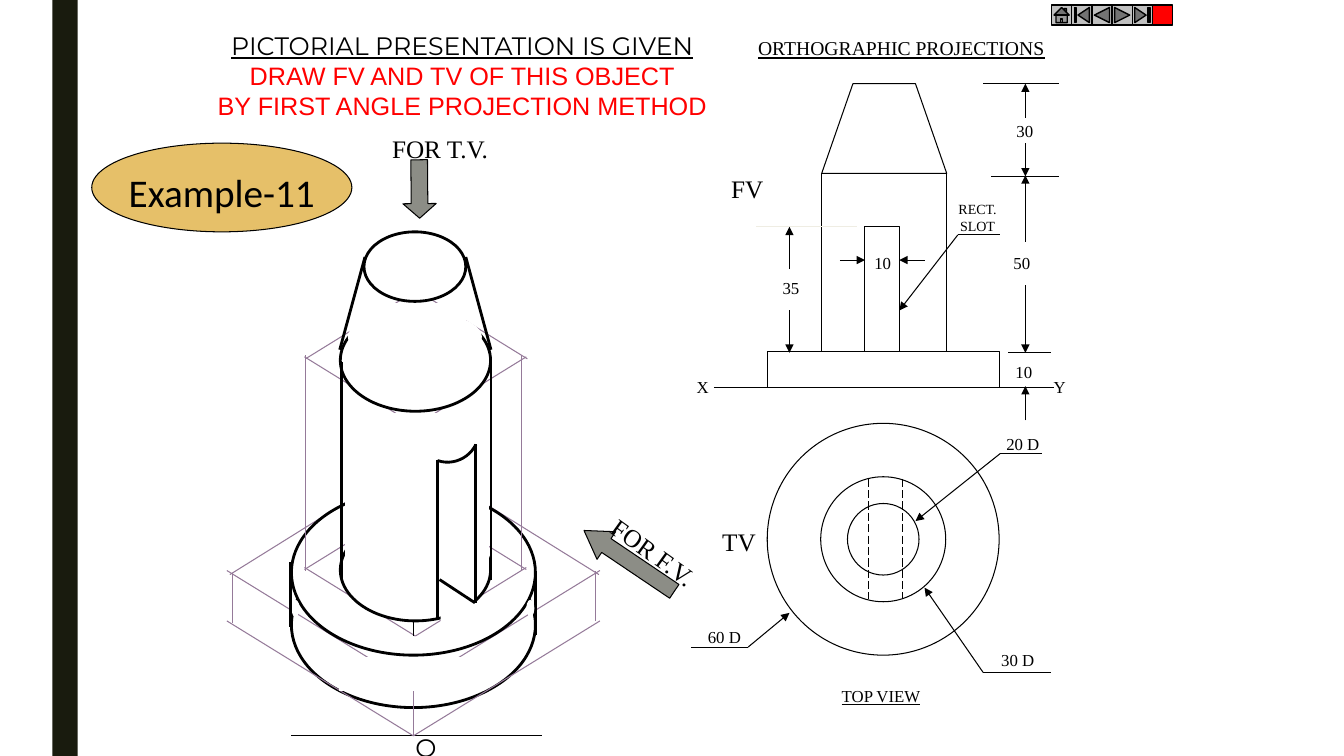
from lxml.etree import SubElement
from pptx import Presentation
from pptx.dml.color import RGBColor
from pptx.enum.dml import MSO_LINE
from pptx.enum.shapes import MSO_CONNECTOR, MSO_SHAPE
from pptx.enum.text import MSO_ANCHOR, MSO_AUTO_SIZE, PP_ALIGN
from pptx.oxml.ns import qn
from pptx.util import Inches, Pt

# The slide is a grid of 133.3 columns by 75 rows
COLUMNS, ROWS = 133.3, 75
CELL = Inches(0.1)
BLACK, WHITE, RED, MAUVE = "000000", "FFFFFF", "FF0000", "957A99"
SERIF = "Times New Roman"
THIN, THICK = 0.75, 2
OVAL, RECT = MSO_SHAPE.OVAL, MSO_SHAPE.RECTANGLE


def cells(*counts):
    return [round(count * CELL) for count in counts]


def color(hex_code):
    return RGBColor.from_string(hex_code)


def style_shape(shape, fill, line, width):
    shape.shadow.inherit = False
    if fill:
        shape.fill.solid()
        shape.fill.fore_color.rgb = color(fill)
    else:
        shape.fill.background()
    if line:
        shape.line.color.rgb = color(line)
        shape.line.width = Pt(width)
    else:
        shape.line.fill.background()


def add_box(page, kind, frame, fill=WHITE, line=BLACK, width=THIN, turn=0):
    box = page.shapes.add_shape(kind, *cells(*frame))
    style_shape(box, fill, line, width)
    box.rotation = turn
    return box


def add_line(page, x1, y1, x2, y2, ink=BLACK, width=THIN, arrow=False, dashed=False):
    connector = page.shapes.add_connector(MSO_CONNECTOR.STRAIGHT, *cells(x1, y1, x2, y2))
    connector.line.color.rgb = color(ink)
    connector.line.width = Pt(width)
    if dashed:
        connector.line.dash_style = MSO_LINE.LONG_DASH
    properties = connector.element.spPr
    if arrow:
        SubElement(properties.find(qn("a:ln")), qn("a:tailEnd"), type="triangle")
    SubElement(properties, qn("a:effectLst"))


def add_chevron(page, x, y, run, rise):
    """Two isometric edges that meet at (x, y)."""
    for side in (-1, 1):
        add_line(page, x, y, x + side * run, y + rise, MAUVE)


def add_outline(page, points, fill, width, close):
    (start_x, start_y), *others = [cells(*point) for point in points]
    builder = page.shapes.build_freeform(start_x, start_y)
    builder.add_line_segments(others, close=close)
    style_shape(builder.convert_to_shape(), fill, BLACK, width)


def write(box, lines, size, font, align=PP_ALIGN.CENTER, underline=False):
    frame = box.text_frame
    frame.word_wrap = False
    frame.auto_size = MSO_AUTO_SIZE.SHAPE_TO_FIT_TEXT
    frame.vertical_anchor = MSO_ANCHOR.TOP
    frame.text = lines
    for para in frame.paragraphs:
        para.alignment = align
        para.font.size = Pt(size)
        para.font.name = font
        para.font.underline = underline
        para.font.color.rgb = color(BLACK)
    return frame.paragraphs


def add_label(page, lines, frame, size=12, font=SERIF, turn=0, **options):
    box = page.shapes.add_textbox(*cells(*frame))
    box.rotation = turn
    write(box, lines, size, font, **options)


def add_headings(page):
    title = page.shapes.title
    title.left, title.top, title.width, title.height = cells(19.2, 2.5, 53.3, 10)
    paras = write(title, "PICTORIAL PRESENTATION IS GIVEN\nDRAW FV AND TV OF THIS OBJECT\n"
                  "BY FIRST ANGLE PROJECTION METHOD", 18, "Montserrat")
    paras[0].font.underline = True
    for para in paras[1:]:
        para.font.name = "Arial"
        para.font.color.rgb = color(RED)
    add_label(page, "ORTHOGRAPHIC PROJECTIONS", (74.2, 3.1, 30.7, 3.4), 14,
              align=PP_ALIGN.LEFT, underline=True)
    add_label(page, "TOP VIEW", (82.5, 67.5, 9.9, 3), align=PP_ALIGN.LEFT, underline=True)
    add_box(page, OVAL, (9.1, 14.2, 25.8, 8.8), "E6C069")
    add_label(page, "Example-11", (11, 16.2, 22, 5.7), 28, "Calibri")


def add_pictorial(page):
    # Base disc and its isometric frame
    add_box(page, OVAL, (28.9, 53.8, 24.2, 16.4), width=THICK)
    add_line(page, 28.9, 73, 53.8, 73)
    add_chevron(page, 41, 73, 18.5, -11.4)
    add_chevron(page, 41.1, 45.6, 18.3, 11.4)
    for x, bottom in ((41, 73), (59.1, 61.6), (23.1, 61.8)):
        add_line(page, x, bottom, x, bottom - 5, MAUVE)
    add_chevron(page, 41, 68, 18.5, -11.4)
    add_box(page, OVAL, (28.9, 48.6, 24.2, 16.4), width=THICK)
    add_line(page, 53.1, 56.6, 53.1, 63, width=THICK)

    # Isometric frame of the cylinder
    add_chevron(page, 41.2, 49.7, 11, 6.8)
    add_chevron(page, 41.2, 63.1, 11, -6.8)
    for x, bottom, ink in ((30.3, 56.6, MAUVE), (41, 63.1, BLACK), (51.7, 56.6, MAUVE)):
        add_line(page, x, bottom, x, bottom - 21.4, ink)
    add_chevron(page, 41.3, 28.8, 11, 6.8)
    add_chevron(page, 41.2, 42.2, 11, -6.8)

    # Cylinder and cone
    for top in (30.7, 51.5):
        add_box(page, OVAL, (33.75, top, 14.9, 10.1), width=THICK)
    add_line(page, 33.9, 57.3, 33.9, 35.9, width=THICK)
    add_line(page, 48.7, 57.5, 48.7, 36.1, width=THICK)
    add_box(page, OVAL, (36.1, 23, 10.1, 6.9), width=THICK)
    for side in (-1, 1):
        add_line(page, 41.2 + side * 5, 25.5, 41.2 + side * 7.5, 34.7, width=THICK)

    # White covers over hidden edges
    for frame in ((36.2, 30.1, 10, 2.5), (34.3, 41, 14.2, 15.8), (33.7, 65.2, 14.2, 3.3)):
        add_box(page, RECT, frame, line=WHITE)
    add_box(page, OVAL, (34.5, 30.9, 13.3, 5), line=None)

    # Slot
    add_line(page, 43.4, 61.5, 43.4, 45.6, width=THICK)
    add_line(page, 47.2, 59.8, 47.2, 44, width=THICK)
    controls = ((47.2, 44.1), (46.5, 45.5), (44.9, 46.2), (43.4, 45.7))
    arc = []
    for step in range(13):
        t = step / 12
        weights = ((1 - t) ** 3, 3 * t * (1 - t) ** 2, 3 * t * t * (1 - t), t ** 3)
        arc.append([sum(weight * point[axis] for weight, point in zip(weights, controls))
                    for axis in (0, 1)])
    add_outline(page, arc, None, THICK, close=False)
    add_box(page, RECT, (43.7, 59.7, 3.3, 2.1), line=None)
    add_line(page, 47.1, 59.8, 43.6, 57.5, width=THICK)

    # Rim of the base
    for x in (52.2, 28.9):
        add_box(page, OVAL, (x, 59.5, 0.8, 1.7), line=None)
    add_line(page, 28.8, 55.8, 28.8, 62.2, width=THICK)
    add_label(page, "O", (40.2, 72.2, 4.1, 4), 18, "Montserrat")


def add_viewing_arrows(page):
    views = (("FOR T.V.", (37.9, 12.7, 11.6, 4), 0, (38.7, 17.1, 5.8, 3.3), 269.5, 0.44),
             ("FOR F.V.", (59.1, 52.8, 11.5, 4), 35.6, (57, 54, 10.8, 3.3), 34, 0.81))
    for words, text_frame, text_turn, frame, turn, head in views:
        arrow = add_box(page, MSO_SHAPE.LEFT_ARROW, frame, "8C8D86", turn=turn)
        arrow.adjustments[1] = head
        add_label(page, words, text_frame, 18, turn=text_turn, align=PP_ALIGN.LEFT)


def add_top_view(page):
    for diameter in (23, 12.4, 7.1):
        add_box(page, OVAL, (87.6 - diameter / 2, 53.5 - diameter / 2, diameter, diameter))
    for x in (86.1, 89.5):
        add_line(page, x, 47.5, x, 59.4, dashed=True)
    # Diameter leaders: shelf end, elbow, arrow tip, label corner
    leaders = (("60 D", 68.5, (74.2, 64.2), (78.3, 60.8), (69.2, 61.7)),
               ("30 D", 104.2, (97.5, 66.7), (91.7, 58.3), (98.3, 64)),
               ("20 D", 103.3, (99.2, 45), (90.8, 51.7), (98.8, 42.5)))
    for words, shelf, elbow, tip, corner in leaders:
        add_line(page, *elbow, *tip, arrow=True)
        add_line(page, *elbow, shelf, elbow[1])
        add_label(page, words, (*corner, 5.3, 3))
    add_label(page, "TV", (70.6, 51.7, 5.4, 4), 18)


def add_front_view(page):
    add_box(page, RECT, (81.5, 17.2, 12.4, 17.7))
    add_outline(page, ((81.5, 17.2), (84.6, 8.3), (90.8, 8.3), (93.9, 17.2)), WHITE, THIN, True)
    add_box(page, RECT, (85.7, 22.5, 3.5, 12.4))
    add_box(page, RECT, (76.1, 34.9, 23, 3.5))
    # Ground and extension lines
    for x1, x2, y, ink in ((70.8, 104.5, 38.4, BLACK), (100, 104.2, 35, BLACK),
                           (75, 85, 22.5, "EFEDE3"), (98.3, 105, 17.5, BLACK),
                           (97.5, 105, 8.3, BLACK), (95, 99.2, 23.3, BLACK)):
        add_line(page, x1, y, x2, y, ink)
    # Dimension arrows
    for x, start, tip in ((101.7, 11.7, 8.3), (101.7, 14.2, 17.5), (101.7, 24, 17.4),
                          (101.7, 28.3, 35), (101.7, 41.7, 38.3),
                          (78.3, 26.7, 22.5), (78.3, 30.8, 35)):
        add_line(page, x, start, x, tip, arrow=True)
    for start, tip in ((83.3, 85.8), (91.7, 89.2)):
        add_line(page, start, 25.8, tip, 25.8, arrow=True)
    add_line(page, 95, 23.3, 89.2, 30.8, arrow=True)
    for words, x, y in (("10", 85.7, 24.6), ("30", 99.8, 11.5), ("50", 99.5, 24.6),
                        ("10", 99.7, 35.4), ("35", 76.6, 27.1)):
        add_label(page, words, (x, y, 3.7, 3))
    for words, x in (("X", 68.1), ("Y", 103.5)):
        add_label(page, words, (x, 36.9, 3.2, 3))
    add_label(page, "FV", (71.5, 16.7, 5.2, 4), 18)
    add_label(page, "RECT.\nSLOT", (94, 19.4, 5.9, 4.3), 10)


def add_navigation(page):
    kinds = (MSO_SHAPE.ACTION_BUTTON_HOME, MSO_SHAPE.ACTION_BUTTON_BEGINNING,
             MSO_SHAPE.ACTION_BUTTON_BACK_OR_PREVIOUS, MSO_SHAPE.ACTION_BUTTON_FORWARD_OR_NEXT,
             MSO_SHAPE.ACTION_BUTTON_END, MSO_SHAPE.ACTION_BUTTON_CUSTOM)
    for index, kind in enumerate(kinds):
        fill = RED if kind == MSO_SHAPE.ACTION_BUTTON_CUSTOM else "C0C0C0"
        add_box(page, kind, (104.3 + 2 * index, 0.5, 2, 2), fill, width=1)


def main():
    deck = Presentation()
    deck.slide_width, deck.slide_height = cells(COLUMNS, ROWS)
    page = deck.slides.add_slide(deck.slide_layouts[5])
    add_box(page, RECT, (5.2, 0, 2.5, ROWS), "191B0E", line=None)
    add_pictorial(page)
    add_top_view(page)
    add_front_view(page)
    add_viewing_arrows(page)
    add_headings(page)
    add_navigation(page)
    deck.save("out.pptx")


if __name__ == "__main__":
    main()
